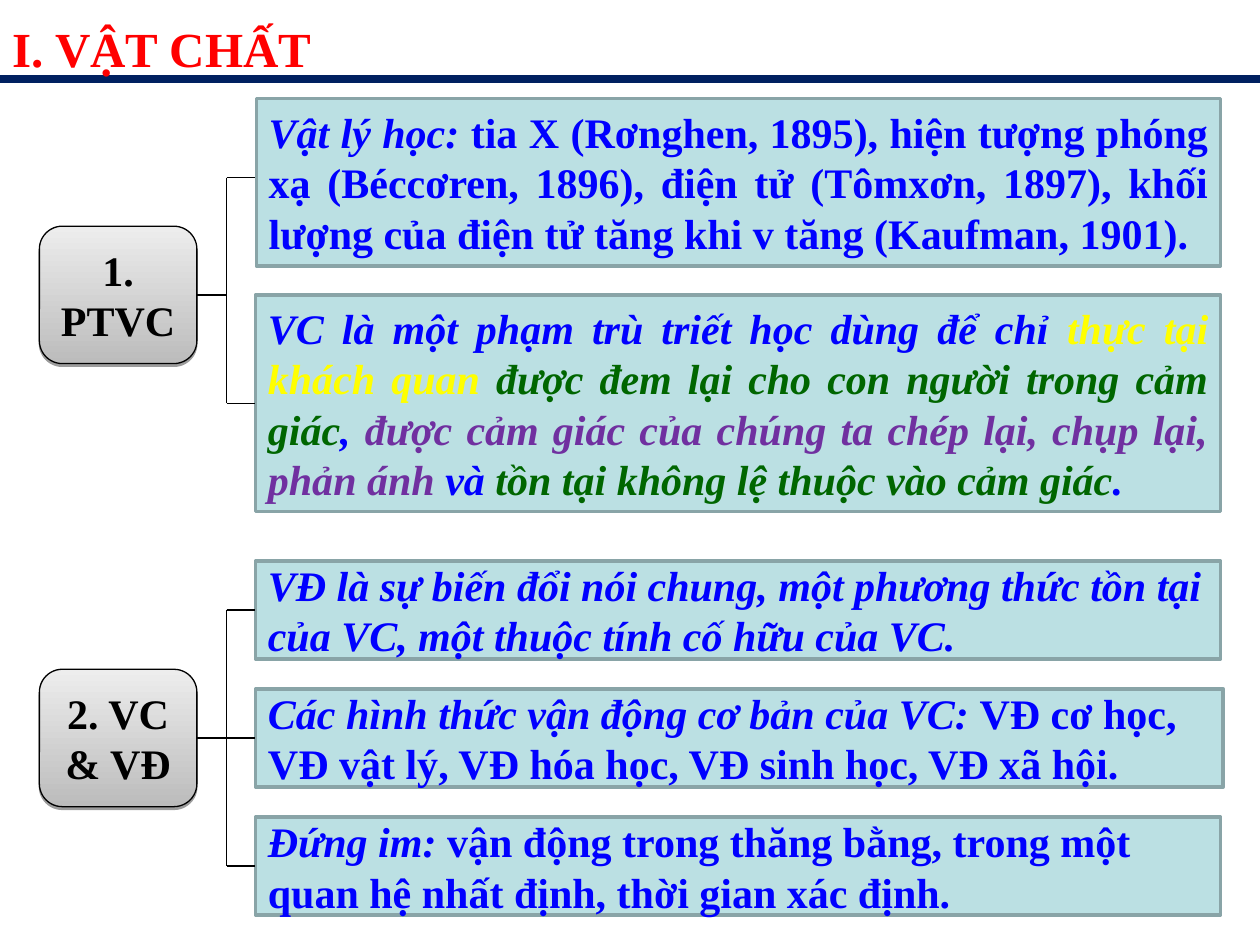
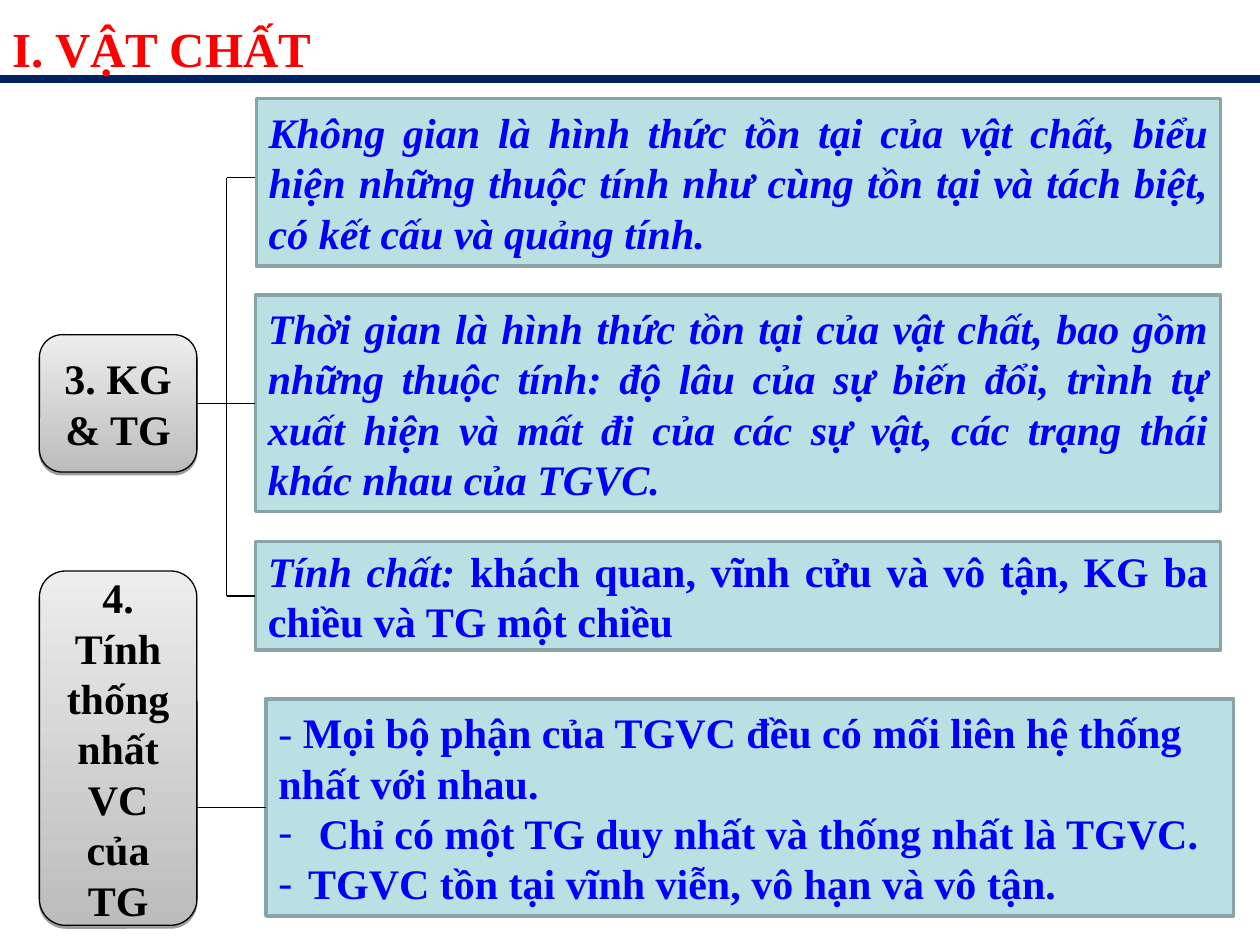
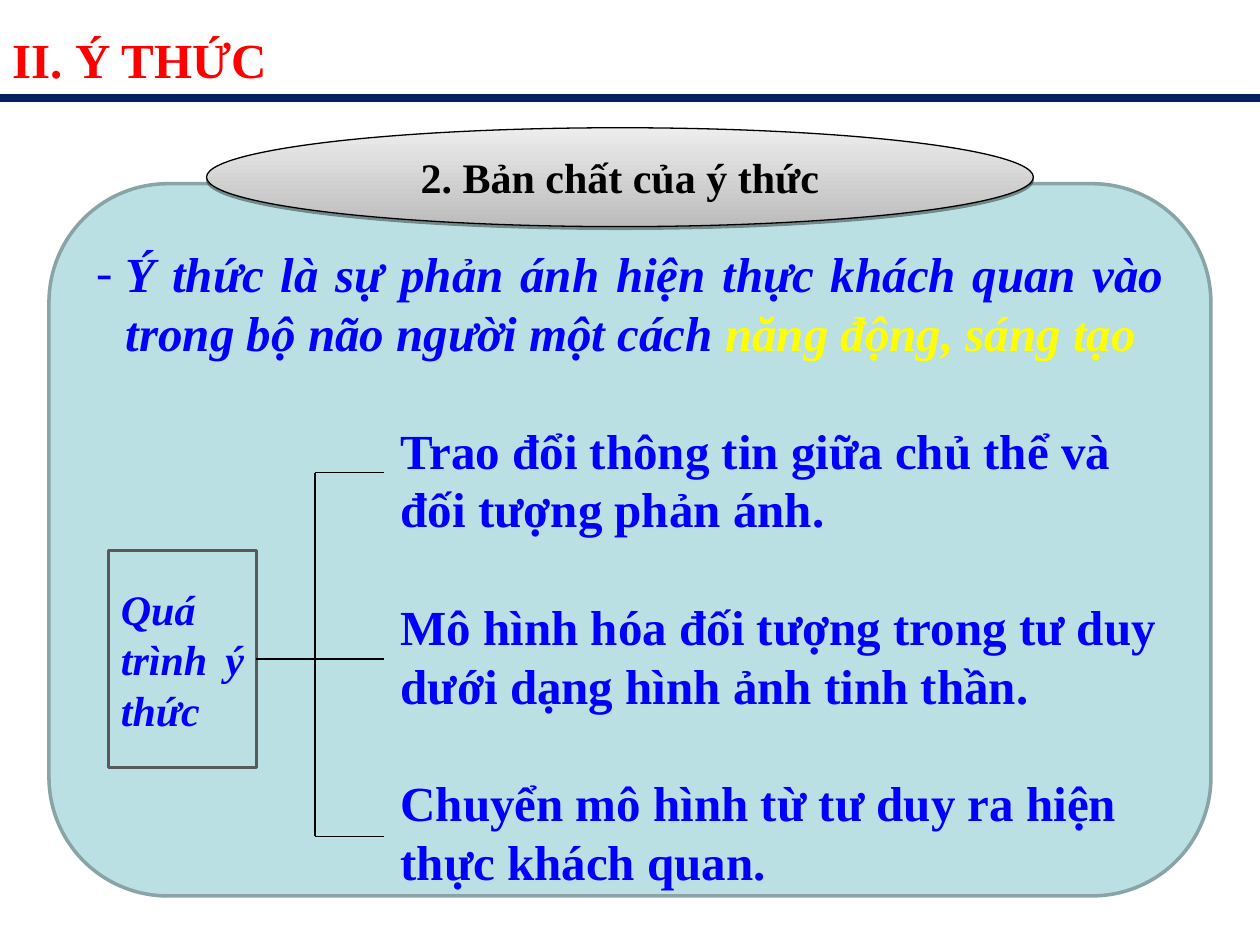
from lxml import etree
from pptx import Presentation
from pptx.dml.color import RGBColor
from pptx.enum.shapes import MSO_CONNECTOR, MSO_SHAPE
from pptx.enum.text import MSO_ANCHOR, MSO_AUTO_SIZE, PP_ALIGN
from pptx.oxml.ns import qn
from pptx.util import Pt

STRAIGHT = MSO_CONNECTOR.STRAIGHT
RECTANGLE, ROUNDED, OVAL = MSO_SHAPE.RECTANGLE, MSO_SHAPE.ROUNDED_RECTANGLE, MSO_SHAPE.OVAL
LEFT, CENTER, JUSTIFY = PP_ALIGN.LEFT, PP_ALIGN.CENTER, PP_ALIGN.JUSTIFY
TOP, MIDDLE = MSO_ANCHOR.TOP, MSO_ANCHOR.MIDDLE
LEFT_SIDE, RIGHT_SIDE = 1, 3

FONT = "Times New Roman"
COLORS = {
    "title": "FF0000", "rule": "002060", "black": "000000",
    "panel": "BBE0E3", "panel_edge": "89A4A7", "process_edge": "595959",
    "label_dark": "BCBCBC", "label_light": "EDEDED",
    "blue": "0000FF", "yellow": "FFFF00", "green": "006600", "purple": "7030A0",
}

# Shared places, in points
PANEL_X, PANEL_WIDTH = 146, 551.5
LABEL_X, LABEL_WIDTH, LABEL_HEIGHT = 22.5, 90, 78.5
LABEL_RIGHT = LABEL_X + LABEL_WIDTH
TRUNK_X, STEP_TRUNK_X, STEP_X = 129.5, 180, 219.5
FIRST_BRANCH_Y = 101.5
STEP_YS = (270, 376.5, 478)
HANGING = 17

# Span formats
PLAIN = {"italic": False}
LIGHT = {"italic": False, "bold": False}
BIG = {"size": 28}
STEP = {"size": 28, "italic": False}
INK = {"color": "black", "italic": False}


def write(para, text, size=24, color="blue", bold=True, italic=True):
    span = para.add_run()
    span.text = text
    span.font.name = FONT
    span.font.size = Pt(size)
    span.font.bold = bold
    span.font.italic = italic
    span.font.color.rgb = RGBColor.from_string(COLORS[color])


def draw_line(page, start, end, color="black", width=0.75):
    """An end is a point (x, y) or a joint (shape, side)."""
    points = [(0, 0) if hasattr(spot[0], "shape_id") else spot for spot in (start, end)]
    line = page.shapes.add_connector(STRAIGHT, *[Pt(value) for point in points for value in point])
    if hasattr(start[0], "shape_id"):
        line.begin_connect(*start)
    if hasattr(end[0], "shape_id"):
        line.end_connect(*end)
    line.line.color.rgb = RGBColor.from_string(COLORS[color])
    line.line.width = Pt(width)
    etree.SubElement(line.element.spPr, qn("a:effectLst"))
    return line


# Boxes: name -> (kind, geometry, place, paragraphs); a paragraph is (options, spans)
pages = [
    {
        "title": "I. VẬT CHẤT", "title_y": 0, "rule_y": 45,
        "boxes": {
            "physics": ("panel", RECTANGLE, (PANEL_X + 0.5, 56.2, PANEL_WIDTH - 0.5, 95.8), [
                ({"align": JUSTIFY}, [
                    ("Vật lý học: ", {}),
                    ("tia X (Rơnghen, 1895), hiện tượng phóng xạ (Béccơren, 1896), điện tử (Tômxơn, 1897), "
                     "khối lượng của điện tử tăng khi v tăng (Kaufman, 1901).", PLAIN)])]),
            "definition": ("panel", RECTANGLE, (PANEL_X, 168.5, PANEL_WIDTH, 124), [
                ({"align": JUSTIFY}, [
                    ("VC là một phạm trù triết học dùng để chỉ ", {}),
                    ("thực tại khách quan ", {"color": "yellow"}),
                    ("được đem lại cho con người trong cảm giác", {"color": "green"}),
                    (", ", {}),
                    ("được cảm giác của chúng ta chép lại, chụp lại, phản ánh ", {"color": "purple"}),
                    ("và ", {}),
                    ("tồn tại không lệ thuộc vào cảm giác", {"color": "green"}),
                    (".", {})])]),
            "motion": ("panel", RECTANGLE, (PANEL_X, 320.5, PANEL_WIDTH, 56), [
                ({}, [("VĐ là sự biến đổi nói chung, một phương thức tồn tại của VC, "
                       "một thuộc tính cố hữu của VC.", {})])]),
            "forms": ("panel", RECTANGLE, (PANEL_X, 393.7, PANEL_WIDTH + 1.5, 56), [
                ({}, [("Các hình thức vận động cơ bản của VC: ", {}),
                      ("VĐ cơ học, VĐ vật lý, VĐ hóa học, VĐ sinh học, VĐ xã hội.", PLAIN)])]),
            "rest": ("panel", RECTANGLE, (PANEL_X, 466.9, PANEL_WIDTH, 56), [
                ({}, [("Đứng im: ", {}),
                      ("vận động trong thăng bằng, trong một quan hệ nhất định, "
                       "thời gian xác định.", PLAIN)])]),
            "category": ("label", ROUNDED, (LABEL_X, 129.25, LABEL_WIDTH, LABEL_HEIGHT), [
                ({"align": CENTER}, [("1.", INK)]),
                ({"align": CENTER}, [("PTVC", INK)])]),
            "matter": ("label", ROUNDED, (LABEL_X, 382.45, LABEL_WIDTH, LABEL_HEIGHT), [
                ({"align": CENTER}, [("2. VC & VĐ", INK)])]),
        },
        "lines": [
            (("category", RIGHT_SIDE), (TRUNK_X, 168.5)),
            ((TRUNK_X, FIRST_BRANCH_Y), (TRUNK_X, 230.5)),
            ((TRUNK_X, FIRST_BRANCH_Y), (PANEL_X, FIRST_BRANCH_Y)),
            ((TRUNK_X, 230.5), ("definition", LEFT_SIDE)),
            (("matter", RIGHT_SIDE), ("forms", LEFT_SIDE)),
            ((TRUNK_X, 348.5), (TRUNK_X, 494.9)),
            ((TRUNK_X, 348.5), ("motion", LEFT_SIDE)),
            ((TRUNK_X, 494.9), ("rest", LEFT_SIDE)),
        ],
    },
    {
        "title": "I. VẬT CHẤT", "title_y": 0, "rule_y": 45,
        "boxes": {
            "space": ("panel", RECTANGLE, (PANEL_X + 0.5, 56.2, PANEL_WIDTH - 0.5, 95.8), [
                ({"align": JUSTIFY}, [
                    ("Không gian là hình thức tồn tại của vật chất, biểu hiện những thuộc tính như "
                     "cùng tồn tại và tách biệt, có kết cấu và quảng tính.", {})])]),
            "time": ("panel", RECTANGLE, (PANEL_X, 168.5, PANEL_WIDTH, 124), [
                ({"align": JUSTIFY}, [
                    ("Thời gian là hình thức tồn tại của vật chất, bao gồm những thuộc tính: độ lâu của "
                     "sự biến đổi, trình tự xuất hiện và mất đi của các sự vật, các trạng thái "
                     "khác nhau của TGVC.", {})])]),
            "nature": ("panel", RECTANGLE, (PANEL_X, 309.5, PANEL_WIDTH, 62), [
                ({"align": JUSTIFY}, [
                    ("Tính chất: ", {}),
                    ("khách quan, vĩnh cửu và vô tận, KG ba chiều và TG một chiều", PLAIN)])]),
            "unity_points": ("panel", RECTANGLE, (152, 399.5, PANEL_WIDTH + 1.5, 124), [
                ({}, [("-", LIGHT),
                      (" Mọi bộ phận của TGVC đều có mối liên hệ thống nhất với nhau.", PLAIN)]),
                ({"indent": HANGING + 6, "bullet": True}, [
                    ("Chỉ có một TG duy nhất và thống nhất là TGVC.", PLAIN)]),
                ({"indent": HANGING, "bullet": True}, [
                    ("TGVC tồn tại vĩnh viễn, vô hạn và vô tận.", PLAIN)])]),
            "space_time": ("label", ROUNDED, (LABEL_X, 191.25, LABEL_WIDTH, LABEL_HEIGHT), [
                ({"align": CENTER}, [("3. KG & TG", INK)])]),
            "unity": ("label", ROUNDED, (LABEL_X, 326.3, LABEL_WIDTH, 202.5), [
                ({"align": CENTER}, [("4. Tính thống nhất VC của TG", INK)])]),
        },
        "lines": [
            (("space_time", RIGHT_SIDE), ("time", LEFT_SIDE)),
            ((TRUNK_X, FIRST_BRANCH_Y), (TRUNK_X, 340.5)),
            ((TRUNK_X, FIRST_BRANCH_Y), (PANEL_X, FIRST_BRANCH_Y)),
            ((TRUNK_X, 340.5), ("nature", LEFT_SIDE)),
            ((LABEL_RIGHT, 461.5), ("unity_points", LEFT_SIDE)),
        ],
    },
    {
        "title": "II. Ý THỨC", "title_y": 6.5, "rule_y": 56,
        "boxes": {
            "essence": ("board", ROUNDED, (28, 105, 664, 407), [
                ({"align": JUSTIFY, "indent": HANGING, "bullet": True}, [
                    ("Ý thức là sự phản ánh hiện thực khách quan vào trong bộ não người một cách ", BIG),
                    ("năng động, sáng tạo", {"size": 28, "color": "yellow"})]),
                *[({"indent": 174, "before": 33.5}, [(step, STEP)]) for step in (
                    "Trao đổi thông tin giữa chủ thể và đối tượng phản ánh.",
                    "Mô hình hóa đối tượng trong tư duy dưới dạng hình ảnh tinh thần.",
                    "Chuyển mô hình từ tư duy ra hiện thực khách quan.")]]),
            "heading": ("label", OVAL, (118, 73, 472.5, 56.5), [
                ({"align": CENTER}, [("2. Bản chất của ý thức", INK)])]),
            "process": ("process", RECTANGLE, (62, 314.5, 84.5, 124), [
                ({"align": JUSTIFY}, [("Quá trình ý thức", {})])]),
        },
        "lines": [
            ((STEP_TRUNK_X, STEP_YS[0]), (STEP_TRUNK_X, STEP_YS[2])),
            ((STEP_TRUNK_X, STEP_YS[0]), (STEP_X, STEP_YS[0])),
            (("process", RIGHT_SIDE), (STEP_X, STEP_YS[1])),
            ((STEP_TRUNK_X, STEP_YS[2]), (STEP_X, STEP_YS[2])),
        ],
    },
]

deck = Presentation()
deck.slide_width, deck.slide_height = Pt(720), Pt(540)
title_only = deck.slide_layouts[5]

for content in pages:
    page = deck.slides.add_slide(title_only)

    # Title above its rule
    title = page.shapes.title
    title.left, title.top, title.width, title.height = Pt(0), Pt(content["title_y"]), Pt(720), Pt(47.5)
    title.text_frame.auto_size = MSO_AUTO_SIZE.NONE
    title.text_frame.vertical_anchor = TOP
    para = title.text_frame.paragraphs[0]
    para.alignment = JUSTIFY
    para.line_spacing = 1.2
    write(para, content["title"], size=28, color="title", italic=False)
    rule_y = content["rule_y"]
    rule = draw_line(page, (0, rule_y), (720, rule_y), color="rule", width=4.5)
    title.element.addprevious(rule.element)

    # Panels and labels
    boxes = {}
    for name, (kind, geometry, place, paragraphs) in content["boxes"].items():
        box = boxes[name] = page.shapes.add_shape(geometry, *[Pt(value) for value in place])
        box.shadow.inherit = False
        if kind == "label":
            box.fill.gradient()
            box.fill.gradient_angle = 90
            for stop, shade in zip(box.fill.gradient_stops, ("label_dark", "label_light")):
                stop.color.rgb = RGBColor.from_string(COLORS[shade])
            effects = box.element.spPr.find(qn("a:effectLst"))
            shadow = etree.SubElement(effects, qn("a:outerShdw"), dist=str(Pt(1.6)), dir="5400000", rotWithShape="0")
            tint = etree.SubElement(shadow, qn("a:srgbClr"), val=COLORS["black"])
            etree.SubElement(tint, qn("a:alpha"), val="38000")
            edge, edge_width = "black", 0.75
        else:
            box.fill.solid()
            box.fill.fore_color.rgb = RGBColor.from_string(COLORS["panel"])
            edge, edge_width = "process_edge" if kind == "process" else "panel_edge", 2
        box.line.color.rgb = RGBColor.from_string(COLORS[edge])
        box.line.width = Pt(edge_width)

        frame = box.text_frame
        frame.word_wrap = True
        frame.vertical_anchor = MIDDLE
        if kind == "board":
            frame.vertical_anchor = TOP
            frame.margin_top, frame.margin_bottom = Pt(14.5), Pt(0)
        for number, (options, spans) in enumerate(paragraphs):
            para = frame.add_paragraph() if number else frame.paragraphs[0]
            para.alignment = options.get("align", LEFT)
            if "before" in options:
                para.space_before = Pt(options["before"])
            properties = para._p.get_or_add_pPr()
            if "indent" in options:
                properties.set("marL", str(Pt(options["indent"])))
            if "bullet" in options:
                properties.set("indent", str(-Pt(options["indent"])))
                bullet_color = etree.SubElement(properties, qn("a:buClr"))
                etree.SubElement(bullet_color, qn("a:srgbClr"), val=COLORS["blue"])
                etree.SubElement(properties, qn("a:buFont"), typeface=FONT)
                etree.SubElement(properties, qn("a:buChar"), char="-")
            for text, look in spans:
                write(para, text, **look)

    # Brackets between labels and panels
    for ends in content["lines"]:
        draw_line(page, *[(boxes[end[0]], end[1]) if end[0] in boxes else end for end in ends])

deck.save("out.pptx")
